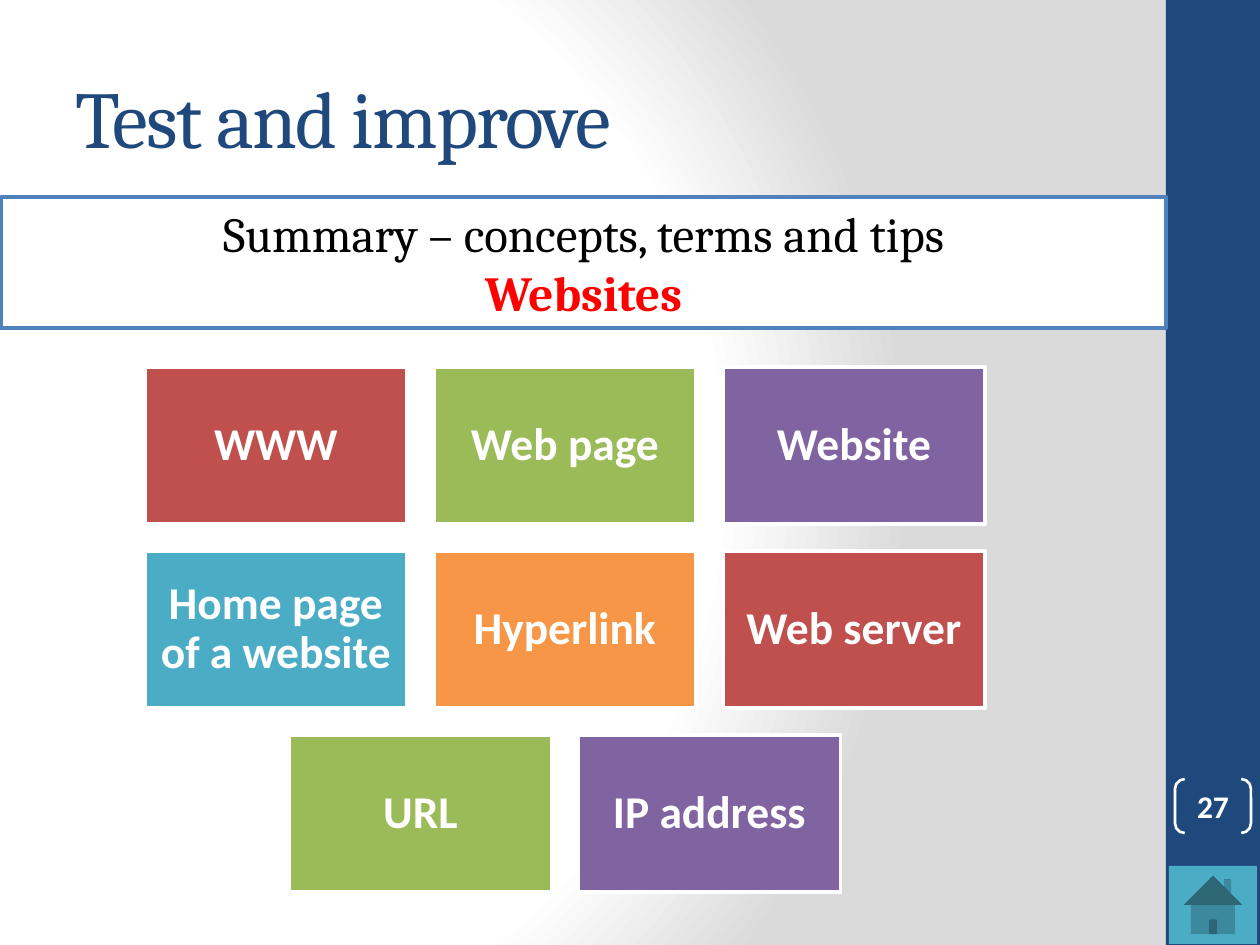
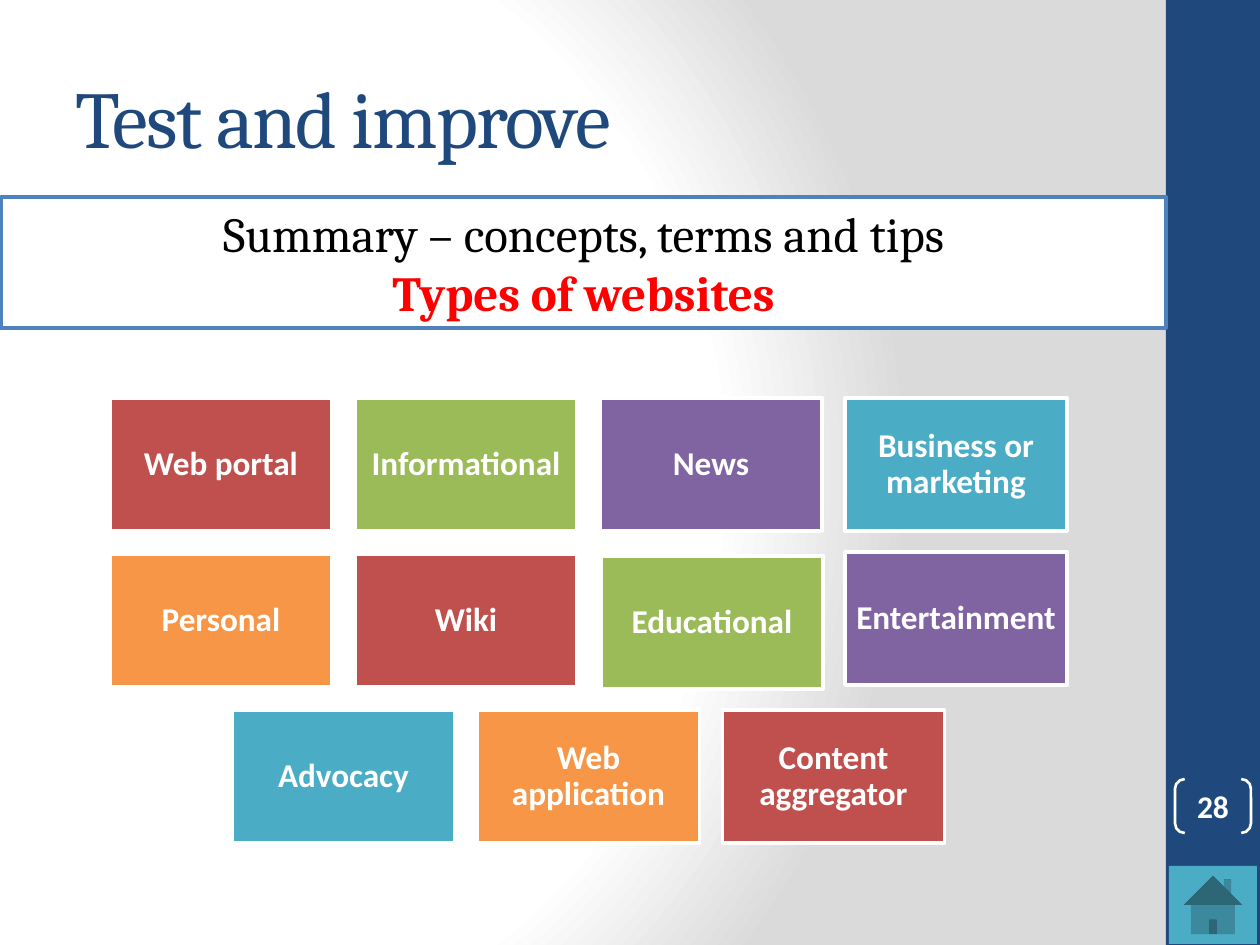
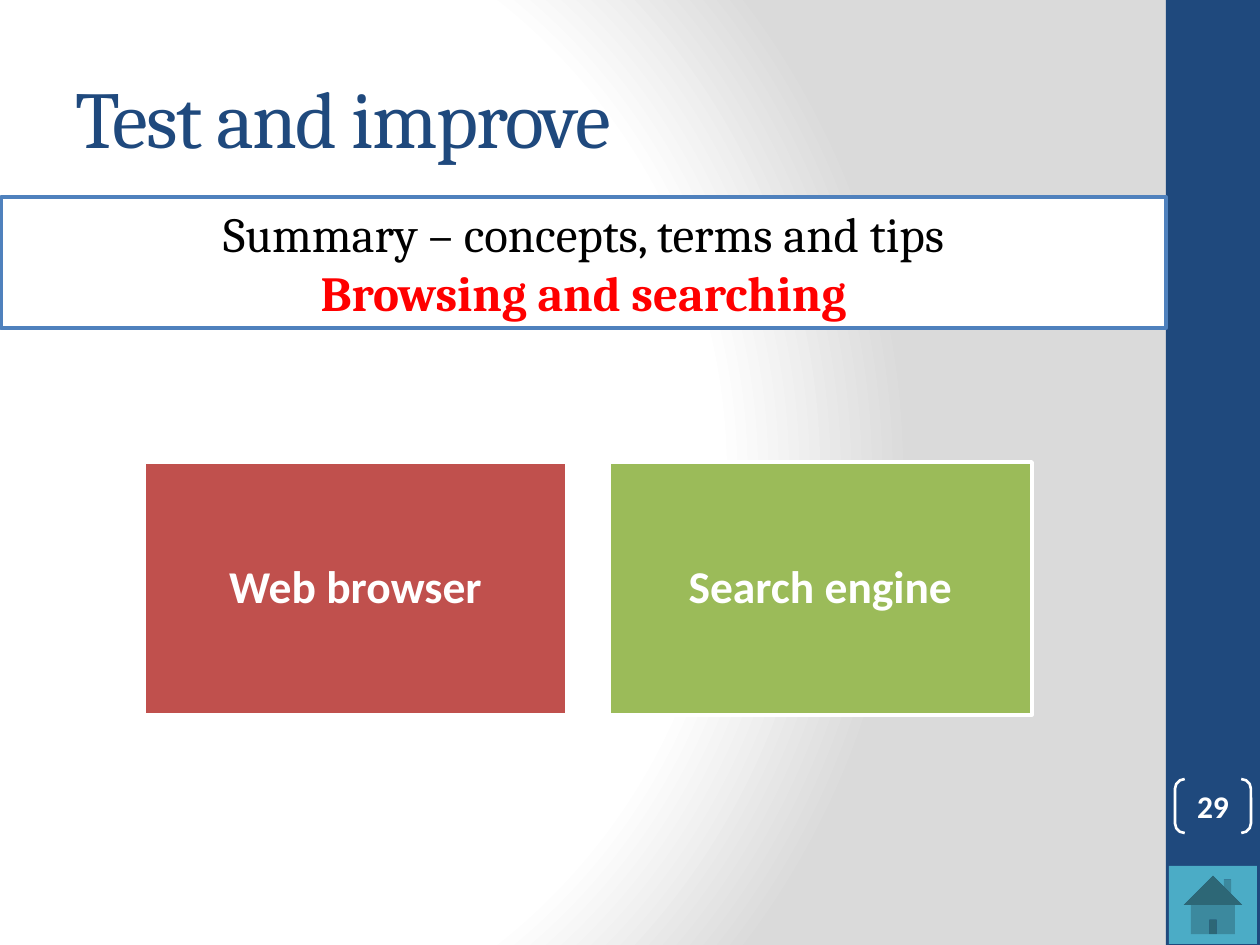
from itertools import cycle

from lxml import etree
from pptx import Presentation
from pptx.dml.color import RGBColor
from pptx.enum.shapes import MSO_SHAPE as SHAPE
from pptx.enum.text import MSO_ANCHOR as ANCHOR, PP_ALIGN as ALIGN
from pptx.oxml import parse_xml
from pptx.oxml.ns import nsdecls, qn
from pptx.util import Pt

TITLE = "Test and improve"
SUMMARY = "Summary – concepts, terms and tips"
FIRST_NUMBER = 27

# Tile geometry is in px; nudges move single tiles off the grid.
SLIDES = [
    dict(topic="Websites", columns=3, start=(145, 367), tile=(262, 157),
         gap=27, size=26, inset=14, nudges={},
         terms=["WWW", "Web page", "Website",
                "Home page of a website", "Hyperlink", "Web server",
                "URL", "IP address"]),
    dict(topic="Types of websites", columns=4, start=(110, 398), tile=(222, 133),
         gap=23, size=19, inset=10,
         nudges={"Educational": (1, 2), "Entertainment": (0, -2)},
         terms=["Web portal", "Informational", "News", "Business or marketing",
                "Personal", "Wiki", "Educational", "Entertainment",
                "Advocacy", "Web application", "Content aggregator"]),
    dict(topic="Browsing and searching", columns=2, start=(144, 462), tile=(423, 253),
         gap=42, size=26, inset=14, nudges={},
         terms=["Web browser", "Search engine"]),
]

SERIF, SANS = "Cambria", "Calibri"
WHITE, BLACK, RED = "FFFFFF", "000000", "FF0000"
NAVY, BLUE, TEAL = "1F497D", "4F81BD", "4BACC6"
TILE_COLOURS = ["C0504D", "9BBB59", "8064A2", TEAL, "F79646"]

BACKGROUND = f"""
<p:bg {nsdecls("p", "a")}><p:bgPr>
  <a:gradFill rotWithShape="1">
    <a:gsLst>
      <a:gs pos="0"><a:srgbClr val="FFFFFF"/></a:gs>
      <a:gs pos="75000"><a:srgbClr val="FFFFFF"/></a:gs>
      <a:gs pos="100000"><a:srgbClr val="DADADA"/></a:gs>
    </a:gsLst>
    <a:path path="circle">
      <a:fillToRect l="20000" t="50000" r="100000" b="50000"/>
    </a:path>
  </a:gradFill>
  <a:effectLst/>
</p:bgPr></p:bg>"""


def px(length):
    return round(length * 914400 / 126)


def rgb(colour):
    return RGBColor.from_string(colour)


def set_background(master):
    common = master.element.find(qn("p:cSld"))
    for old in common.findall(qn("p:bg")):
        common.remove(old)
    common.insert(0, parse_xml(BACKGROUND))


def add_box(slide, kind, box, fill=None, line=None, width=2):
    shape = slide.shapes.add_shape(kind, *map(px, box))
    shape.shadow.inherit = False
    if fill:
        shape.fill.solid()
        shape.fill.fore_color.rgb = rgb(fill)
    else:
        shape.fill.background()
    if line:
        shape.line.color.rgb = rgb(line)
        shape.line.width = Pt(width)
    else:
        shape.line.fill.background()
    return shape


def set_inset(frame, inset):
    frame.margin_left = frame.margin_right = px(inset)
    frame.margin_top = frame.margin_bottom = px(inset)


def write(paragraph, text, font, size, colour, bold=False, align=ALIGN.CENTER):
    paragraph.text = text
    paragraph.alignment = align
    paragraph.font.name = font
    paragraph.font.size = Pt(size)
    paragraph.font.bold = bold
    paragraph.font.color.rgb = rgb(colour)


def add_title(slide):
    frame = slide.shapes.add_textbox(*map(px, (63, 38, 1050, 157))).text_frame
    frame.word_wrap = True
    frame.vertical_anchor = ANCHOR.MIDDLE
    heading = frame.paragraphs[0]
    write(heading, TITLE, SERIF, 46, NAVY, align=ALIGN.LEFT)
    heading.runs[0].font._element.set("spc", "-100")


def add_summary(slide, topic):
    frame = add_box(slide, SHAPE.RECTANGLE, (1, 197, 1165, 131), WHITE, BLUE).text_frame
    frame.vertical_anchor = ANCHOR.TOP
    write(frame.paragraphs[0], SUMMARY, SERIF, 28, BLACK)
    write(frame.add_paragraph(), topic, SERIF, 28, RED, bold=True)


def add_number(slide, number):
    bracket = add_box(slide, SHAPE.DOUBLE_BRACKET, (1175, 779, 76, 54), line=WHITE, width=1.5)
    bracket.adjustments[0] = 0.18
    frame = bracket.text_frame
    set_inset(frame, 0)
    frame.vertical_anchor = ANCHOR.MIDDLE
    write(frame.paragraphs[0], str(number), SANS, 18, WHITE, bold=True)


def add_tiles(slide, columns, start, tile, gap, size, inset, nudges, terms):
    """Lay the terms out in rows, with a short last row centred."""
    left, top = start
    width, height = tile
    colours = cycle(TILE_COLOURS)
    for index, term in enumerate(terms):
        row, column = divmod(index, columns)
        in_row = min(columns, len(terms) - row * columns)
        across = column + (columns - in_row) / 2
        dx, dy = nudges.get(term, (0, 0))
        box = (left + across * (width + gap) + dx,
               top + row * (height + gap) + dy, width, height)
        frame = add_box(slide, SHAPE.RECTANGLE, box, next(colours), WHITE).text_frame
        set_inset(frame, inset)
        frame.word_wrap = True
        frame.vertical_anchor = ANCHOR.MIDDLE
        label = frame.paragraphs[0]
        write(label, term, SANS, size, WHITE, bold=True)
        label.line_spacing = 0.9


def main():
    prs = Presentation()
    prs.slide_width, prs.slide_height = px(1260), px(945)
    set_background(prs.slide_master)
    for number, content in enumerate(SLIDES, FIRST_NUMBER):
        slide = prs.slides.add_slide(prs.slide_layouts[6])
        grid = {key: value for key, value in content.items() if key != "topic"}
        add_box(slide, SHAPE.RECTANGLE, (1166, 0, 94, 945), NAVY)
        add_summary(slide, content["topic"])
        add_title(slide)
        add_tiles(slide, **grid)
        add_number(slide, number)
        add_box(slide, SHAPE.ACTION_BUTTON_HOME, (1169, 866, 88, 78), TEAL)
    prs.save("out.pptx")


if __name__ == "__main__":
    main()
